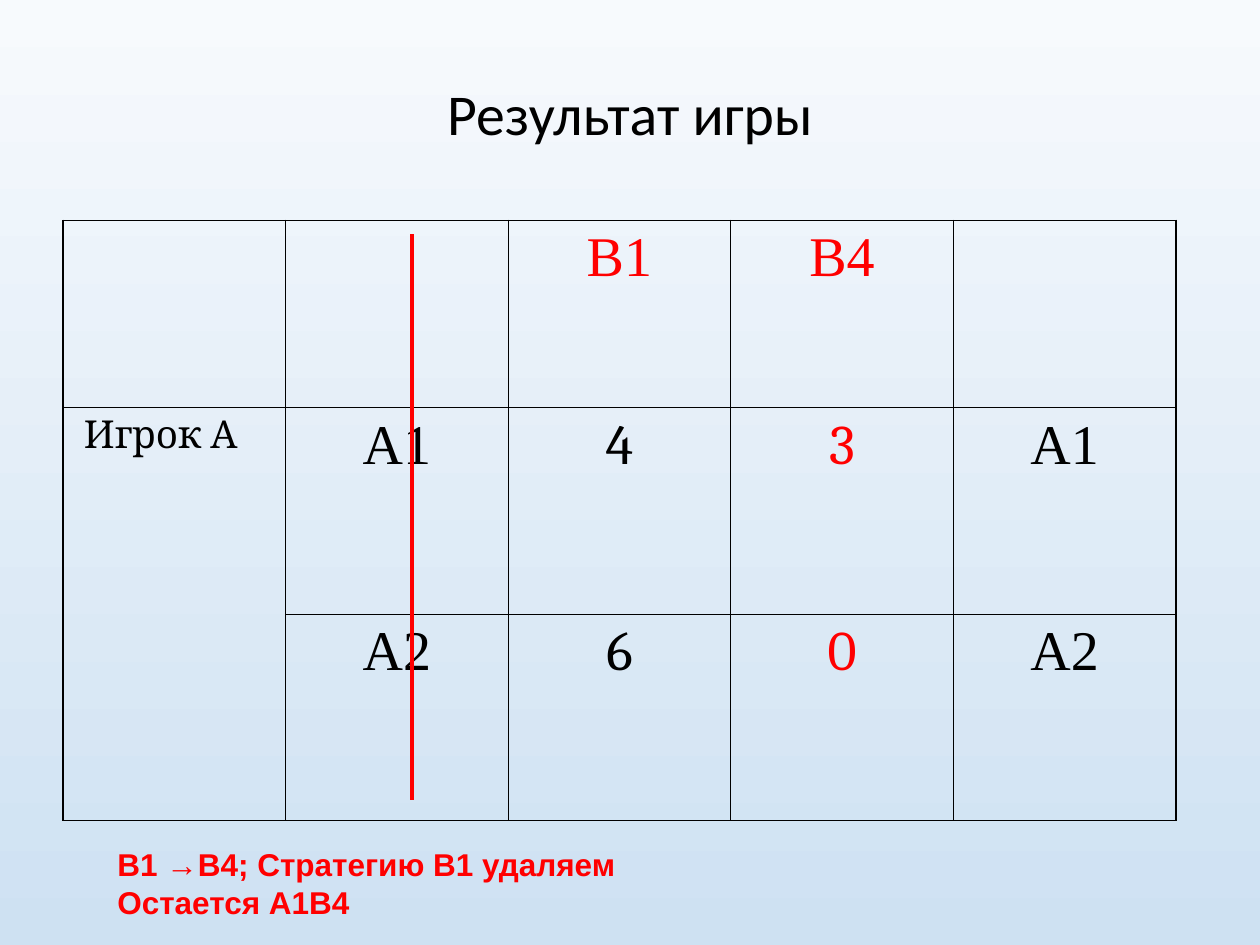
from dataclasses import dataclass

from lxml import etree
from pptx import Presentation
from pptx.dml.color import RGBColor
from pptx.enum.shapes import MSO_CONNECTOR
from pptx.enum.text import MSO_ANCHOR, PP_ALIGN
from pptx.oxml.ns import qn
from pptx.util import Pt

LINE = MSO_CONNECTOR.STRAIGHT
MIDDLE = MSO_ANCHOR.MIDDLE
LEFT, CENTER = PP_ALIGN.LEFT, PP_ALIGN.CENTER


@dataclass(frozen=True)
class Theme:
    black: str = "000000"
    red: str = "FF0000"
    sky: tuple = ("F7FAFD", "CEE1F2")
    sans: str = "Calibri"
    note: str = "Arial"
    serif: str = "Times New Roman"
    digit: str = "Cambria"
    title: float = 33
    cell: float = 32
    label: float = 22
    small: float = 18
    thin: float = 0.45
    thick: float = 1.08
    mark: float = 2.25


THEME = Theme()


def add_run(para, text, face, size, color, bold=False):
    run = para.add_run()
    run.text = text
    font = run.font
    font.name, font.size, font.bold = face, Pt(size), bold
    font.color.rgb = RGBColor.from_string(color)


def add_box(slide, box):
    return slide.shapes.add_textbox(*map(Pt, box)).text_frame


def paint_back(slide):
    fill = slide.background.fill
    fill.gradient()
    fill.gradient_angle = 270
    for stop, color, place in zip(fill.gradient_stops, THEME.sky, (0, 1)):
        stop.color.rgb = RGBColor.from_string(color)
        stop.position = place


def add_title(slide, box, text):
    frame = add_box(slide, box)
    frame.word_wrap = True
    frame.vertical_anchor = MIDDLE
    para = frame.paragraphs[0]
    para.alignment = CENTER
    para.line_spacing = 0.9
    add_run(para, text, THEME.sans, THEME.title, THEME.black)


def set_edge(cell, side, width):
    edge = etree.SubElement(cell._tc.get_or_add_tcPr(), qn(f"a:ln{side}"), w=str(int(Pt(width))))
    fill = etree.SubElement(edge, qn("a:solidFill"))
    etree.SubElement(fill, qn("a:srgbClr"), val=THEME.black)


def add_grid(slide, box, rows, heights):
    count = len(rows[0])
    table = slide.shapes.add_table(len(rows), count, *map(Pt, box)).table
    table.first_row = table.horz_banding = False
    for col in table.columns:
        col.width = Pt(box[2] / count)
    for row, height in zip(table.rows, heights):
        row.height = Pt(height)
    for i, row in enumerate(rows):
        for j, text in enumerate(row):
            cell = table.cell(i, j)
            outer = {"L": j == 0, "R": j == count - 1, "T": i == 0, "B": False}
            for side, edge in outer.items():
                set_edge(cell, side, THEME.thick if edge else THEME.thin)
            cell.fill.background()
            if not text:
                continue
            para = cell.text_frame.paragraphs[0]
            para.alignment = CENTER if j else LEFT
            face = THEME.digit if j == 0 or text.isdigit() else THEME.serif
            hot = j == 3 or (i == 0 and j == 2)
            add_run(para, text, face, THEME.cell if j else THEME.label,
                    THEME.red if hot else THEME.black)
    side = table.cell(1, 0)
    side.merge(table.cell(2, 0))
    side.margin_left = Pt(12)


def add_note(slide, box, lines):
    frame = add_box(slide, box)
    frame.word_wrap = False
    for i, text in enumerate(lines):
        para = frame.add_paragraph() if i else frame.paragraphs[0]
        add_run(para, text, THEME.note, THEME.small, THEME.red, True)


def add_strike(slide, x, top, end):
    line = slide.shapes.add_connector(LINE, Pt(x), Pt(top), Pt(x), Pt(end))
    line.line.width = Pt(THEME.mark)
    line.line.color.rgb = RGBColor.from_string(THEME.red)
    etree.SubElement(line._element.spPr, qn("a:effectLst"))


def main():
    deck = Presentation()
    deck.slide_width, deck.slide_height = Pt(720), Pt(540)
    slide = deck.slides.add_slide(deck.slide_layouts[6])
    paint_back(slide)
    add_title(slide, (36, 21.6, 648, 90), "Результат игры")
    rows = [
        ("", "", "В1", "В4", ""),
        ("Игрок А", "А1", "4", "3", "А1"),
        ("", "А2", "6", "0", "А2"),
    ]
    add_grid(slide, (36, 126, 636, 343), rows, (107, 118, 118))
    add_note(slide, (60, 479.5, 299.5, 72),
             ("В1 →B4; Стратегию В1 удаляем", "Остается А1В4"))
    add_strike(slide, 235.25, 134, 457)
    deck.save("out.pptx")


if __name__ == "__main__":
    main()
